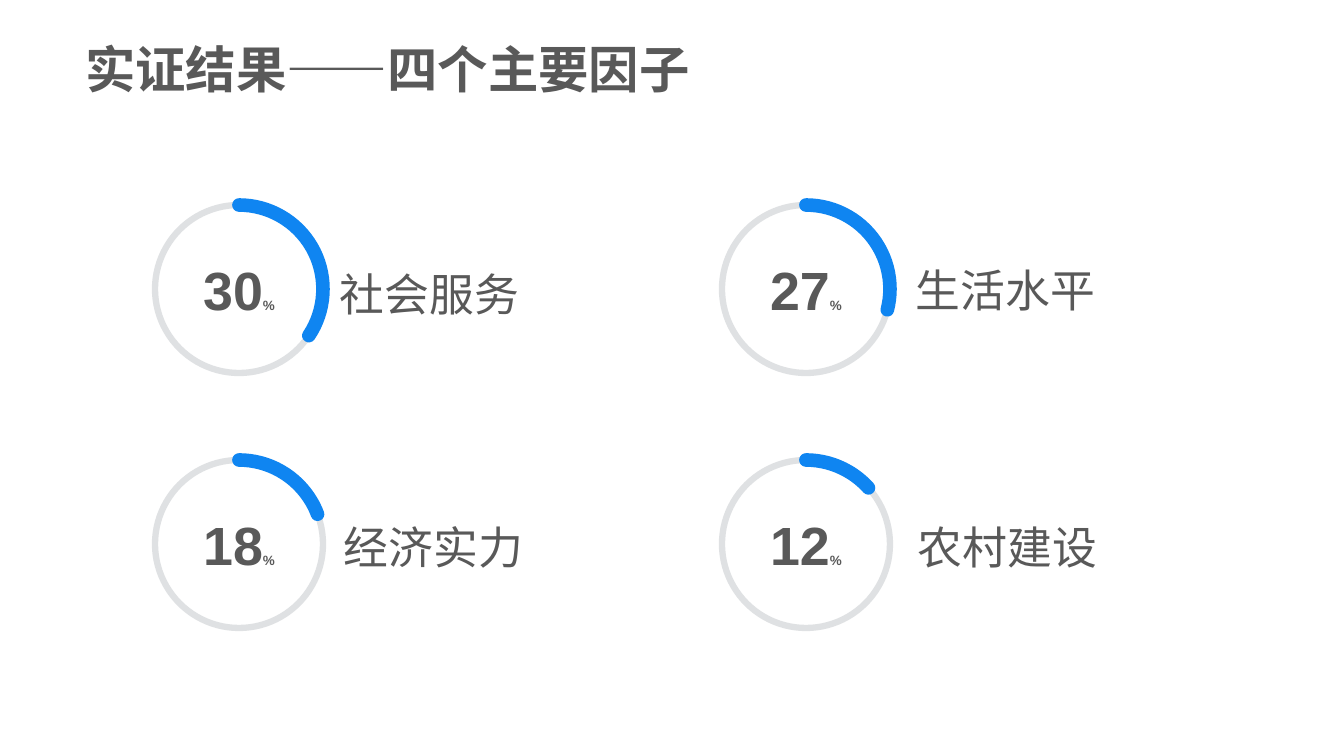
from lxml import etree
from pptx import Presentation
from pptx.dml.color import RGBColor
from pptx.enum.shapes import MSO_SHAPE as Shape
from pptx.enum.text import MSO_ANCHOR as Anchor, MSO_AUTO_SIZE as AutoSize, PP_ALIGN as Align
from pptx.oxml.ns import qn
from pptx.util import Pt

PX = 914400 / 100.8  # EMU in one px
GREY = RGBColor(0x59, 0x59, 0x59)
TRACK = RGBColor(0x43, 0x4F, 0x5A)
BLUE = RGBColor(0x0F, 0x85, 0xF1)
CHINESE = "Noto Sans CJK SC"
DIAMETER = 168


def px(*lengths):
    return [round(length * PX) for length in lengths]


def write(shape, *runs, font=CHINESE, bold=False, align=Align.LEFT,
          anchor=Anchor.MIDDLE, spacing=1.0, insets=None):
    """Fill a shape with one paragraph of (text, size) runs."""
    frame = shape.text_frame
    frame.word_wrap = True
    frame.auto_size = AutoSize.NONE
    frame.vertical_anchor = anchor
    if insets:
        (frame.margin_left, frame.margin_top,
         frame.margin_right, frame.margin_bottom) = px(*insets)
    paragraph = frame.paragraphs[0]
    paragraph.alignment = align
    paragraph.line_spacing = spacing
    for text, size in runs:
        run = paragraph.add_run()
        run.text = text
        run.font.name = font
        run.font.size = Pt(size)
        run.font.bold = bold
        run.font.color.rgb = GREY
        east_asian = etree.SubElement(run.font._element, qn("a:ea"))
        east_asian.set("typeface", font)


presentation = Presentation()
presentation.slide_width, presentation.slide_height = px(1344, 756)
slide = presentation.slides.add_slide(presentation.slide_layouts[5])

# Title
title = slide.shapes.title
title.left, title.top, title.width, title.height = px(75, 3, 714, 102)
write(title, ("实证结果——四个主要因子", 36), bold=True, anchor=Anchor.TOP,
      spacing=1.5, insets=(10, 5, 10, 5))

# Factors: share, name, ring left and top, arc end in degrees, label left and top
factors = [
    ("30", "社会服务", 155, 205, 33.68, 336, 262),
    ("18", "经济实力", 155, 460, 339.22, 340, 515),
    ("27", "生活水平", 722, 205, 14.31, 912, 258),
    ("12", "农村建设", 722, 460, 318.07, 914, 515),
]
for share, name, left, top, arc_end, label_left, label_top in factors:
    box = px(left, top, DIAMETER, DIAMETER)

    # Pale ring with the share inside
    ring = slide.shapes.add_shape(Shape.OVAL, *box)
    ring.shadow.inherit = False
    ring.fill.background()
    ring.line.color.rgb = TRACK
    ring.line.width = Pt(4.5)
    track_color = ring.line.fill._xPr.find(".//" + qn("a:srgbClr"))
    etree.SubElement(track_color, qn("a:alpha")).set("val", "16000")
    write(ring, (share, 38.4), ("%", 9.6), font="Arial", bold=True, align=Align.CENTER)

    # Blue arc with round ends, clockwise from the top
    arc = slide.shapes.add_shape(Shape.ARC, *box)
    arc.shadow.inherit = False
    arc.fill.background()
    arc.line.color.rgb = BLUE
    arc.line.width = Pt(9.75)
    arc.line.fill._xPr.set("cap", "rnd")
    arc.adjustments[0] = 270 * 0.6  # 60000 units a degree, over 100000
    arc.adjustments[1] = arc_end * 0.6

    # Factor name
    label = slide.shapes.add_textbox(*px(label_left, label_top, 414, 48))
    write(label, (name, 32), spacing=1.3, insets=(4, 0, 0, 0))

presentation.save("out.pptx")
